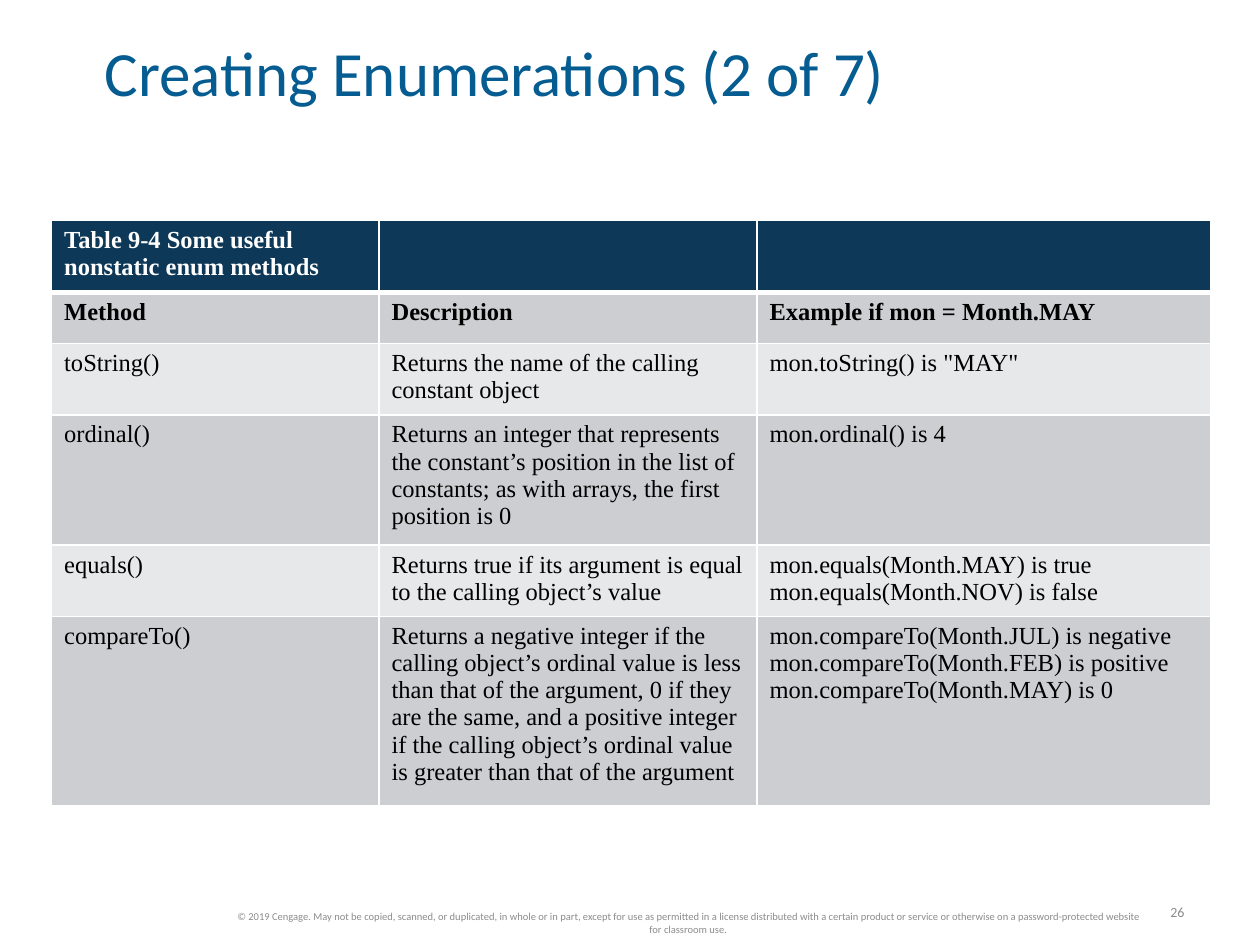
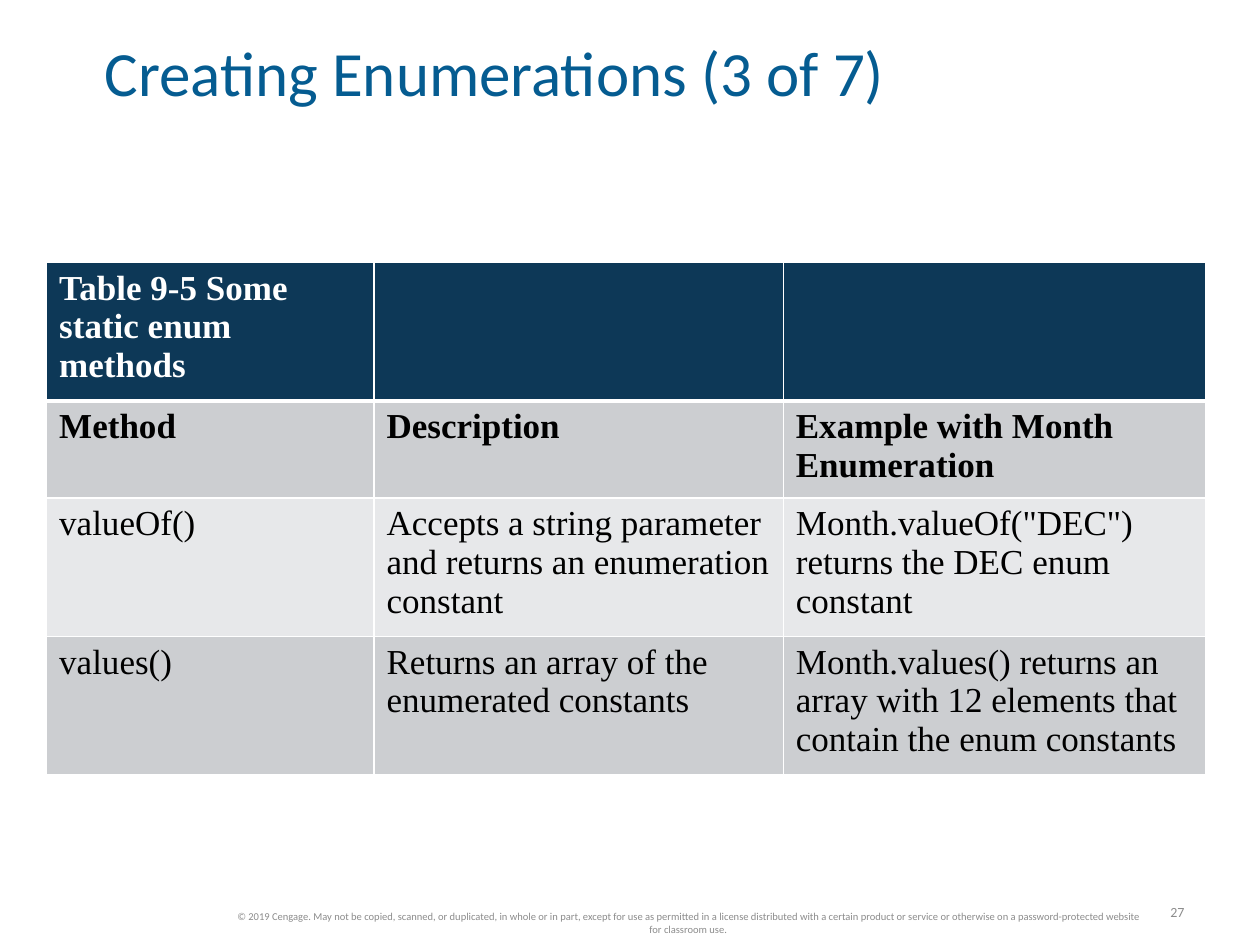
from dataclasses import dataclass

from lxml import etree
from pptx import Presentation
from pptx.dml.color import RGBColor
from pptx.enum.text import MSO_ANCHOR, PP_ALIGN
from pptx.oxml.ns import qn
from pptx.util import Cm, Pt

MIDDLE = MSO_ANCHOR.MIDDLE
LEFT, CENTER, RIGHT = PP_ALIGN.LEFT, PP_ALIGN.CENTER, PP_ALIGN.RIGHT
TITLE_ONLY = 5


@dataclass(frozen=True)
class Theme:
    title_color: str = "055C91"
    footer_color: str = "8C8C8C"
    header_fill: str = "0D3857"
    odd_fill: str = "CCCED1"
    even_fill: str = "E7E8EA"
    white: str = "FFFFFF"
    black: str = "000000"
    heading_font: str = "Calibri"
    table_font: str = "Times New Roman"
    title_size: int = 36
    number_size: int = 8
    copyright_size: int = 6
    thin_border: int = 1
    thick_border: int = 3


THEME = Theme()

TITLE_BOX = (2.11, 0.89, 22.3, 1.32)
NUMBER_BOX = (23.27, 18.08, 0.86, 0.61)
COPYRIGHT_BOX = (4.45, 18.26, 18.85, 0.69)
COPYRIGHT = (
    "© 2019 Cengage. May not be copied, scanned, or duplicated, in whole or in part, "
    "except for use as permitted in a license distributed with a certain product or "
    "service or otherwise on a password-protected website for classroom use."
)

NONSTATIC_METHODS = [
    ["Table 9-4 Some useful nonstatic enum methods", "", ""],
    ["Method", "Description", "Example if mon = Month.MAY"],
    ["toString()", "Returns the name of the calling constant object",
     'mon.toString() is "MAY"'],
    ["ordinal()",
     "Returns an integer that represents the constant’s position in the list of\n"
     "constants; as with arrays, the first position is 0",
     "mon.ordinal() is 4"],
    ["equals()",
     "Returns true if its argument is equal to the calling object’s value",
     "mon.equals(Month.MAY) is true\nmon.equals(Month.NOV) is false"],
    ["compareTo()",
     "Returns a negative integer if the\n"
     "calling object’s ordinal value is less\n"
     "than that of the argument, 0 if they\n"
     "are the same, and a positive integer if the calling object’s ordinal value "
     "is greater than that of the argument",
     "mon.compareTo(Month.JUL) is negative\n"
     "mon.compareTo(Month.FEB) is positive\n"
     "mon.compareTo(Month.MAY) is 0"],
]

STATIC_METHODS = [
    ["Table 9-5 Some static enum methods", "", ""],
    ["Method", "Description", "Example with Month Enumeration"],
    ["valueOf()", "Accepts a string parameter and returns an enumeration constant",
     'Month.valueOf("DEC") returns the DEC enum constant'],
    ["values()", "Returns an array of the enumerated constants",
     "Month.values() returns an array with 12 elements that contain the enum constants"],
]


def set_font(para, name, size, color, bold=False):
    para.font.name = name
    para.font.size = Pt(size)
    para.font.bold = bold
    para.font.color.rgb = RGBColor.from_string(color)


def add_title(page, box, text):
    title = page.shapes.title
    title.left, title.top, title.width, title.height = map(Cm, box)
    frame = title.text_frame
    frame.margin_left = frame.margin_right = frame.margin_top = frame.margin_bottom = 0
    frame.vertical_anchor = MIDDLE
    frame.text = text
    para = frame.paragraphs[0]
    para.alignment = LEFT
    para.line_spacing = 0.85
    set_font(para, THEME.heading_font, THEME.title_size, THEME.title_color)


def add_footer_text(page, box, text, size, alignment, wrap):
    frame = page.shapes.add_textbox(*map(Cm, box)).text_frame
    frame.word_wrap = wrap
    frame.vertical_anchor = MIDDLE
    frame.text = text
    para = frame.paragraphs[0]
    para.alignment = alignment
    set_font(para, THEME.heading_font, size, THEME.footer_color)


def set_borders(cell, row_index):
    thick_side = {0: "lnB", 1: "lnT"}.get(row_index)
    properties = cell._tc.get_or_add_tcPr()
    for side in ("lnL", "lnR", "lnT", "lnB"):
        width = THEME.thick_border if side == thick_side else THEME.thin_border
        line = etree.SubElement(properties, qn(f"a:{side}"), w=str(Pt(width)))
        fill = etree.SubElement(line, qn("a:solidFill"))
        etree.SubElement(fill, qn("a:srgbClr"), val=THEME.white)


def format_cell(cell, row_index, text, size):
    set_borders(cell, row_index)
    if row_index == 0:
        fill = THEME.header_fill
    else:
        fill = THEME.odd_fill if row_index % 2 else THEME.even_fill
    cell.fill.solid()
    cell.fill.fore_color.rgb = RGBColor.from_string(fill)
    if not text:
        return
    cell.text = text
    color = THEME.black if row_index else THEME.white
    for para in cell.text_frame.paragraphs:
        set_font(para, THEME.table_font, size, color, bold=row_index < 2)


def add_method_table(page, origin, column_widths, row_heights, rows, size):
    left, top = origin
    box = (left, top, sum(column_widths), sum(row_heights))
    table = page.shapes.add_table(len(rows), len(column_widths), *map(Cm, box)).table
    for column, width in zip(table.columns, column_widths):
        column.width = Cm(width)
    for row, height in zip(table.rows, row_heights):
        row.height = Cm(height)
    for row_index, texts in enumerate(rows):
        for column_index, text in enumerate(texts):
            format_cell(table.cell(row_index, column_index), row_index, text, size)


def add_page(deck, title, number):
    page = deck.slides.add_slide(deck.slide_layouts[TITLE_ONLY])
    add_footer_text(page, NUMBER_BOX, str(number), THEME.number_size, RIGHT, False)
    add_title(page, TITLE_BOX, title)
    add_footer_text(page, COPYRIGHT_BOX, COPYRIGHT, THEME.copyright_size, CENTER, True)
    return page


def main():
    deck = Presentation()
    deck.slide_width, deck.slide_height = Cm(25.4), Cm(19.05)

    page = add_page(deck, "Creating Enumerations (2 of 7)", 26)
    add_method_table(page, (1.04, 4.45), (6.6, 7.62, 9.14),
                     (1.34, 1.03, 1.34, 2.44, 1.34, 3.5), NONSTATIC_METHODS, 14)

    page = add_page(deck, "Creating Enumerations (3 of 7)", 27)
    add_method_table(page, (0.94, 5.29), (6.6, 8.25, 8.51),
                     (2.59, 1.82, 2.59, 2.59), STATIC_METHODS, 20)

    deck.save("out.pptx")


if __name__ == "__main__":
    main()
